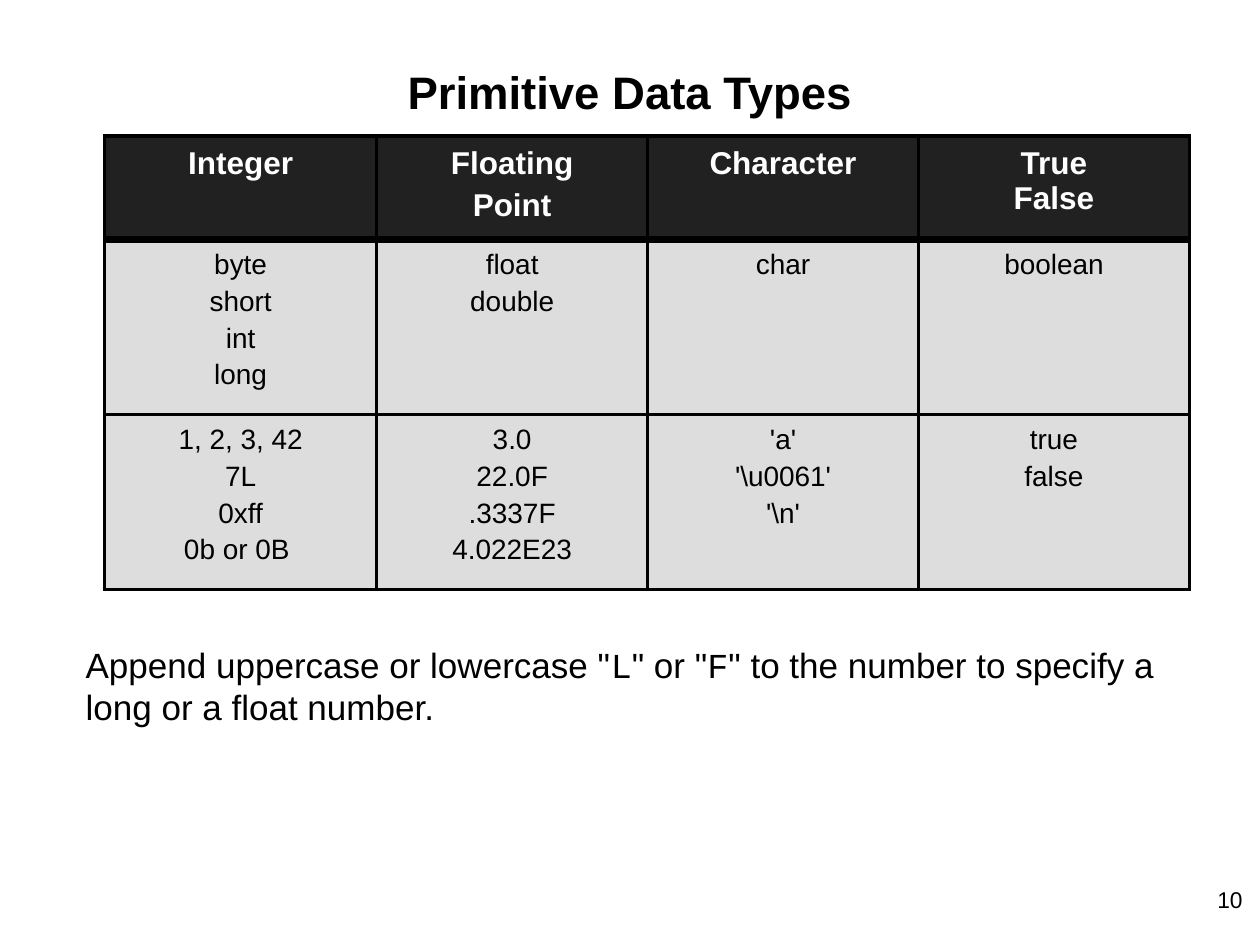
import pptx
import pptx.dml.color
import pptx.enum.text
import pptx.oxml
import pptx.oxml.ns
import pptx.util

Inches, Pt = pptx.util.Inches, pptx.util.Pt
RGBColor = pptx.dml.color.RGBColor
PP_ALIGN = pptx.enum.text.PP_ALIGN

BLACK = RGBColor(0x00, 0x00, 0x00)
WHITE = RGBColor(0xFF, 0xFF, 0xFF)
HEADER_FILL = RGBColor(0x21, 0x21, 0x21)
BODY_FILL = RGBColor(0xDD, 0xDD, 0xDD)

THIN, THICK = 2.25, 4.5

# Each cell is a list of paragraphs
ROWS = [
    [["Integer"], ["Floating", "Point"], ["Character"], ["True", "False"]],
    [["byte", "short", "int", "long"], ["float", "double"], ["char"], ["boolean"]],
    [["1, 2, 3, 42", "7L", "0xff", "0b or 0B "],
     ["3.0", "22.0F", ".3337F", "4.022E23"],
     ["'a'", r"'\u0061'", r"'\n'"],
     ["true", "false"]],
]
COL_WIDTHS = [2.16, 2.15, 2.15, 2.15]
ROW_HEIGHTS = [0.82, 1.39, 1.39]


def write(tf, paragraphs, size, color=BLACK, bold=False,
          align=PP_ALIGN.LEFT, space_before=0, line_spacing=None):
    """Fill a text frame; a paragraph is a string or a list of (text, font)."""
    for i, runs in enumerate(paragraphs):
        p = tf.paragraphs[0] if i == 0 else tf.add_paragraph()
        p.alignment = align
        if i and space_before:
            p.space_before = Pt(space_before)
        if line_spacing:
            p.line_spacing = line_spacing
        for text, font in [(runs, "Arial")] if isinstance(runs, str) else runs:
            r = p.add_run()
            r.text = text
            r.font.name = font
            r.font.size = Pt(size)
            r.font.bold = bold
            r.font.color.rgb = color


def add_text(slide, box, paragraphs, size, inset=0.01, **fmt):
    tf = slide.shapes.add_textbox(*map(Inches, box)).text_frame
    tf.word_wrap = True
    tf.margin_left = tf.margin_right = Inches(inset)
    tf.margin_top = tf.margin_bottom = Inches(inset)
    write(tf, paragraphs, size, **fmt)


def set_borders(cell, top, bottom):
    tcPr = cell._tc.get_or_add_tcPr()
    sides = [("lnL", THIN), ("lnR", THIN), ("lnT", top), ("lnB", bottom)]
    for i, (tag, width) in enumerate(sides):
        tcPr.insert(i, pptx.oxml.parse_xml(
            f'<a:{tag} {pptx.oxml.ns.nsdecls("a")} w="{Pt(width)}"><a:solidFill>'
            f'<a:srgbClr val="{BLACK}"/></a:solidFill></a:{tag}>'))


def add_types_table(slide, left, top):
    size = map(Inches, (left, top, sum(COL_WIDTHS), sum(ROW_HEIGHTS)))
    table = slide.shapes.add_table(len(ROWS), len(COL_WIDTHS), *size).table
    for column, width in zip(table.columns, COL_WIDTHS):
        column.width = Inches(width)
    for row, height in zip(table.rows, ROW_HEIGHTS):
        row.height = Inches(height)

    for i, row in enumerate(ROWS):
        header = i == 0
        for j, lines in enumerate(row):
            cell = table.cell(i, j)
            cell.margin_left = cell.margin_right = Inches(0.08)
            cell.margin_top = cell.margin_bottom = Inches(0.08)
            cell.fill.solid()
            cell.fill.fore_color.rgb = HEADER_FILL if header else BODY_FILL
            # A thick rule separates the header from the body
            set_borders(cell, top=THICK if i == 1 else THIN,
                        bottom=THICK if header else THIN)
            gap = 3.2
            if header:
                gap = 0 if lines[0] == "True" else 3.6
            write(cell.text_frame, lines, 18 if header else 16,
                  color=WHITE if header else BLACK, bold=header,
                  align=PP_ALIGN.CENTER, space_before=gap)


def add_note(slide, box):
    note = [('Append uppercase or lowercase "', "Arial"), ("L", "Courier New"),
            ('" or "', "Arial"), ("F", "Courier New"),
            ('" to the number to specify a long or a float number.', "Arial")]
    add_text(slide, box, [note], 20, line_spacing=Pt(24))


def main():
    prs = pptx.Presentation()
    prs.slide_width, prs.slide_height = Inches(10), Inches(7.5)
    slide = prs.slides.add_slide(prs.slide_layouts[6])

    # Title
    add_text(slide, (0.67, 0.5, 8.66, 0.96), ["Primitive Data Types"], 26,
             bold=True, align=PP_ALIGN.CENTER)
    # Note below the table
    add_note(slide, (0.67, 5.1, 8.66, 1.9))
    # Table of types and sample literals
    add_types_table(slide, 0.83, 1.08)
    # Page number
    add_text(slide, (9.36, 6.93, 0.6, 0.57), ["10"], 13, inset=0.1,
             align=PP_ALIGN.RIGHT)

    prs.save("out.pptx")


if __name__ == "__main__":
    main()
